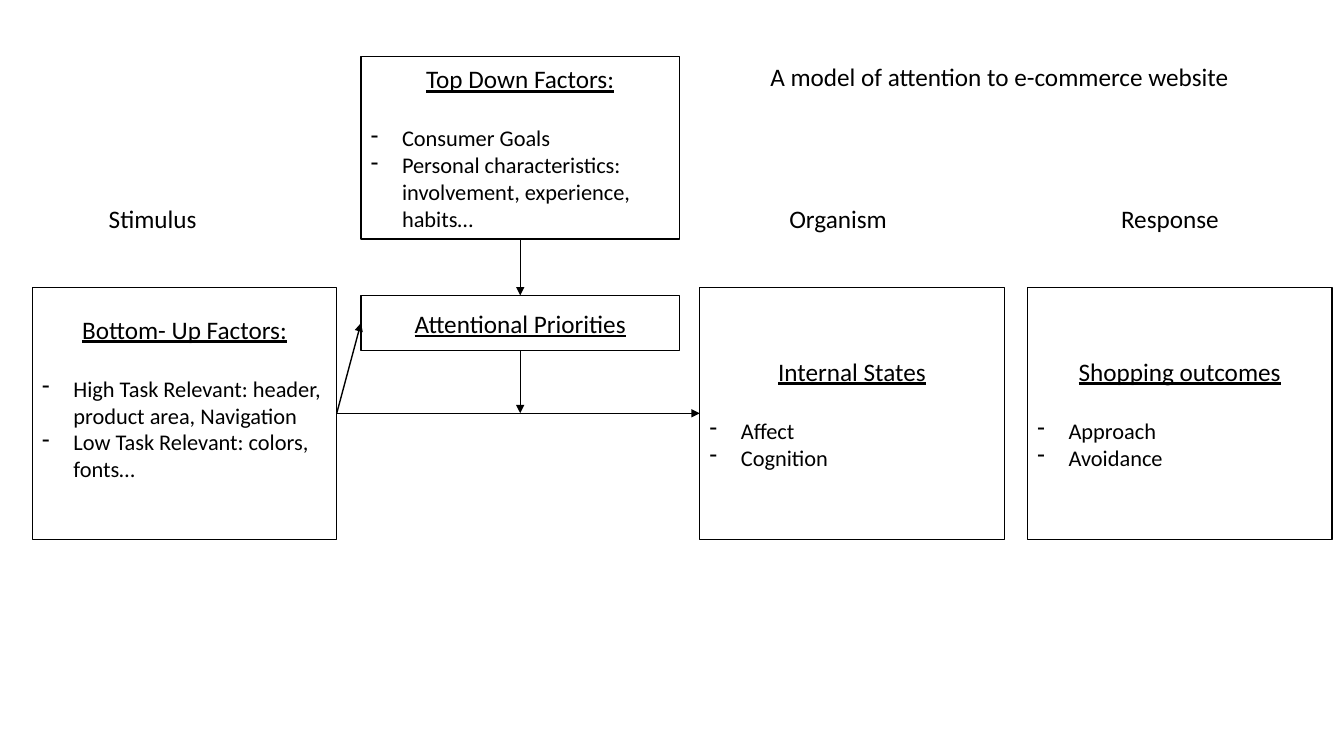
import pptx
import pptx.util
import pptx.dml.color
import pptx.enum.shapes
import pptx.enum.text
import pptx.oxml.ns
import lxml.etree

Inches, Pt = pptx.util.Inches, pptx.util.Pt
BLACK = pptx.dml.color.RGBColor(0, 0, 0)
WHITE = pptx.dml.color.RGBColor(255, 255, 255)
FONT = "Calibri"
HEADING_SIZE, FACTOR_SIZE = 18, 16
HEADING_GAP = 22
INDENT = 0.31
TOP, RIGHT_SITE, BOTTOM, LEFT = 0, 3, 2, 1

TITLE = ("A model of attention to e-commerce website", 7.54, 0.56, 4.81)
STAGE_TOP, LABEL_HEIGHT = 1.97, 0.4
STAGES = [("Stimulus", 0.98, 1.08), ("Organism", 7.73, 1.18), ("Response", 11.02, 1.18)]

PANEL_TOP, PANEL_WIDTH, PANEL_HEIGHT = 2.85, 3.02, 2.5
CENTRE_LEFT, CENTRE_WIDTH = 3.58, 3.16


def panel(left):
    """Return the frame of one stage panel."""
    return left, PANEL_TOP, PANEL_WIDTH, PANEL_HEIGHT


def centre(top, height):
    """Return the frame of one box in the centre column."""
    return CENTRE_LEFT, top, CENTRE_WIDTH, height


BOXES = {
    "outcomes": ("Shopping outcomes", ["Approach", "Avoidance"], panel(10.19), 0.05),
    "states": ("Internal States", ["Affect", "Cognition"], panel(6.94), 0.05),
    "bottom_up": ("Bottom- Up Factors:",
                  ["High Task Relevant: header, product area, Navigation",
                   "Low Task Relevant: colors, fonts…"], panel(0.32), 0.35),
    "top_down": ("Top Down Factors:",
                 ["Consumer Goals",
                  "Personal characteristics: involvement, experience, habits…"],
                 centre(0.56, 1.81), 0.05),
    "priorities": ("Attentional Priorities", [], centre(2.93, 0.55), 0.05),
}
INFLUENCES = [
    ("bottom_up", RIGHT_SITE, "states", LEFT),
    ("top_down", BOTTOM, "priorities", TOP),
    ("bottom_up", RIGHT_SITE, "priorities", LEFT),
    ("priorities", BOTTOM, None, None),
]


def write(paragraph, words, size, underline=False):
    """Add one formatted run to a paragraph."""
    run = paragraph.add_run()
    run.text = words
    run.font.name, run.font.size = FONT, Pt(size)
    run.font.color.rgb = BLACK
    run.font.bold = False
    run.font.underline = underline


def label(shape, words):
    """Fill an unwrapped label with its words."""
    frame = shape.text_frame
    frame.word_wrap = False
    frame.auto_size = pptx.enum.text.MSO_AUTO_SIZE.SHAPE_TO_FIT_TEXT
    frame.vertical_anchor = pptx.enum.text.MSO_ANCHOR.TOP
    frame.paragraphs[0].alignment = pptx.enum.text.PP_ALIGN.LEFT
    write(frame.paragraphs[0], words, HEADING_SIZE)


def add_box(slide, heading, factors, place, bottom_inset):
    """Add an outlined box with a heading and dashed factors."""
    box = slide.shapes.add_shape(pptx.enum.shapes.MSO_SHAPE.RECTANGLE, *map(Inches, place))
    box.shadow.inherit = False
    box.fill.solid()
    box.fill.fore_color.rgb = WHITE
    box.line.color.rgb = BLACK
    box.line.width = Pt(1)
    frame = box.text_frame
    frame.word_wrap = True
    frame.vertical_anchor = pptx.enum.text.MSO_ANCHOR.MIDDLE
    frame.margin_bottom = Inches(bottom_inset)
    top_line = frame.paragraphs[0]
    top_line.alignment = pptx.enum.text.PP_ALIGN.CENTER
    write(top_line, heading, HEADING_SIZE, True)
    if factors:
        top_line.space_after = Pt(HEADING_GAP)
    for factor in factors:
        paragraph = frame.add_paragraph()
        paragraph.alignment = pptx.enum.text.PP_ALIGN.LEFT
        write(paragraph, factor, FACTOR_SIZE)
        properties = paragraph._p.get_or_add_pPr()
        properties.set("marL", str(Inches(INDENT)))
        properties.set("indent", str(-Inches(INDENT)))
        lxml.etree.SubElement(properties, pptx.oxml.ns.qn("a:buChar"), char="-")
    return box


def add_arrow(slide, source, source_site, target, target_site, junction):
    """Add an arrow from a box to another box or to the junction."""
    arrow = slide.shapes.add_connector(
        pptx.enum.shapes.MSO_CONNECTOR.STRAIGHT, *junction, *junction)
    arrow.begin_connect(source, source_site)
    if target is not None:
        arrow.end_connect(target, target_site)
    arrow.line.color.rgb = BLACK
    arrow.line.width = Pt(1)
    lxml.etree.SubElement(arrow.line._get_or_add_ln(), pptx.oxml.ns.qn("a:tailEnd"),
                          type="triangle")
    lxml.etree.SubElement(arrow._element.spPr, pptx.oxml.ns.qn("a:effectLst"))


deck = pptx.Presentation()
deck.slide_width, deck.slide_height = Inches(13.33), Inches(7.5)
slide = deck.slides.add_slide(deck.slide_layouts[5])

title_words, title_left, title_top, title_width = TITLE
title = slide.shapes.title
title.left, title.top = Inches(title_left), Inches(title_top)
title.width, title.height = Inches(title_width), Inches(LABEL_HEIGHT)
label(title, title_words)

for stage, left, width in STAGES:
    label(slide.shapes.add_textbox(*map(Inches, (left, STAGE_TOP, width, LABEL_HEIGHT))), stage)

boxes = {name: add_box(slide, *content) for name, content in BOXES.items()}
junction = (Inches(CENTRE_LEFT + CENTRE_WIDTH / 2), Inches(PANEL_TOP + PANEL_HEIGHT / 2))
for source, source_site, target, target_site in INFLUENCES:
    add_arrow(slide, boxes[source], source_site, boxes.get(target), target_site, junction)

deck.save("out.pptx")
